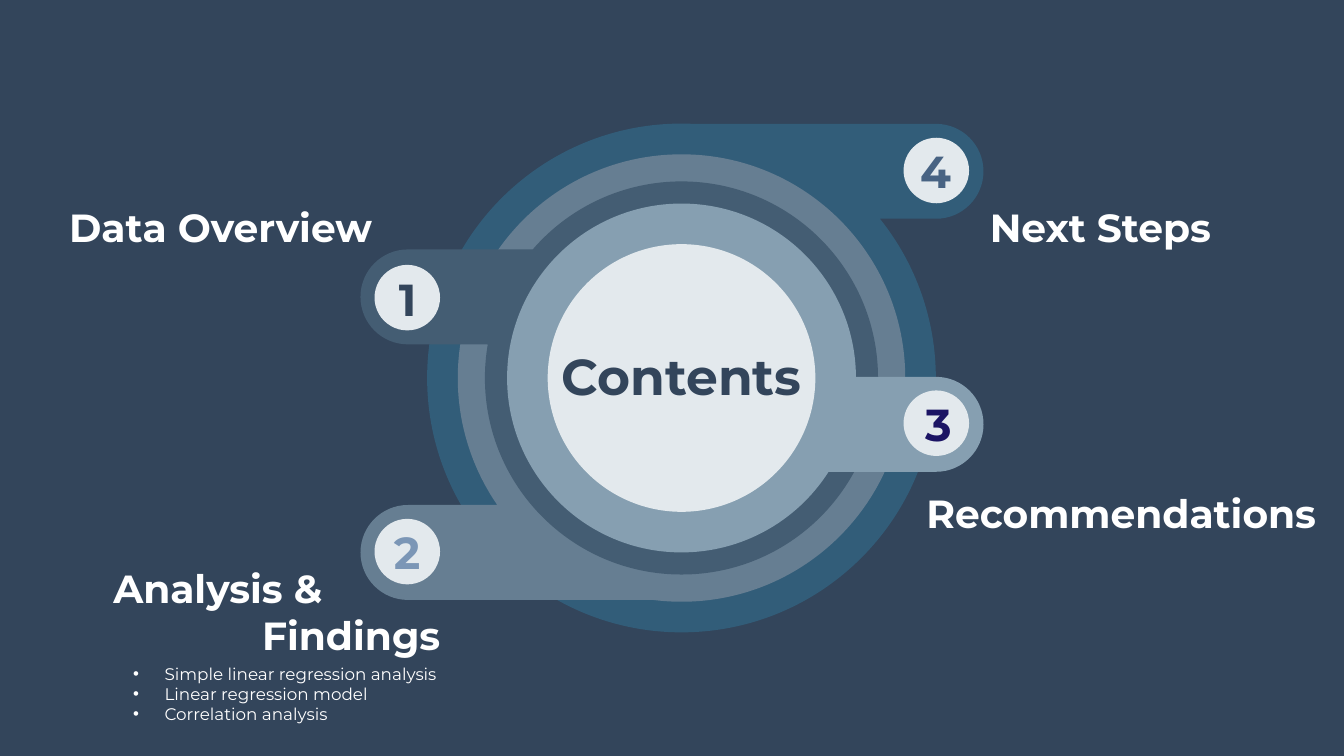
from dataclasses import dataclass
from math import asin, ceil, cos, floor, pi, sin, tan

from lxml.etree import SubElement
from pptx import Presentation
from pptx.dml.color import RGBColor
from pptx.enum.shapes import MSO_SHAPE
from pptx.enum.text import MSO_ANCHOR, MSO_AUTO_SIZE, PP_ALIGN
from pptx.oxml.ns import qn
from pptx.util import Pt


@dataclass(frozen=True)
class Theme:
    font: str = "Montserrat"
    navy: str = "33455B"
    pale: str = "E3E9ED"
    white: str = "FFFFFF"
    title: int = 36
    number: int = 32
    heading: int = 28
    body: int = 12


@dataclass(frozen=True)
class Ring:
    number: str
    radius: float
    side: int
    arm_y: float
    badge_y: float
    number_x: float
    fill: str
    ink: str


THEME = Theme()
HUB = (486.8, 270)
CAP_X = {-1: 291.4, 1: 668.6}
BADGE_X = {-1: 290.9, 1: 668.8}
CAP_RADIUS = 33.9
BADGE_RADIUS = 23.4
CORE_RADIUS = 95.6
RINGS = [
    Ring("4", 181.7, 1, 122.4, 121.8, 650.2, "325D79", "486383"),
    Ring("2", 159.8, -1, 394.6, 394, 274.3, "667E92", "7B96B6"),
    Ring("1", 140.4, -1, 212.1, 212.6, 277.9, "445D73", THEME.navy),
    Ring("3", 124.6, 1, 303.1, 302.3, 653.8, "869FB1", "1B1464"),
]
HEADINGS = [
    ((42.3, 141.8, 247.7, 41.2), [("Data Overview", PP_ALIGN.LEFT)]),
    ((73.9, 399.6, 247.7, 75.1),
     [("Analysis &", PP_ALIGN.LEFT), ("Findings", PP_ALIGN.RIGHT)]),
    ((654.6, 345.9, 303.8, 41.2), [("Recommendations", PP_ALIGN.LEFT)]),
    ((700, 141.8, 194.4, 41.2), [("Next Steps", PP_ALIGN.LEFT)]),
]
METHODS = ["Simple linear regression analysis", "Linear regression model",
           "Correlation analysis"]


def paint(sp, color):
    sp.shadow.inherit = False
    sp.fill.solid()
    sp.fill.fore_color.rgb = RGBColor.from_string(color)
    sp.line.fill.background()


def write(sp, lines, size, color, bold=True):
    tf = sp.text_frame
    for name, value in {"word_wrap": True, "auto_size": MSO_AUTO_SIZE.NONE,
                        "vertical_anchor": MSO_ANCHOR.TOP}.items():
        setattr(tf, name, value)
    for i, (text, align) in enumerate(lines):
        p = tf.paragraphs[0] if i == 0 else tf.add_paragraph()
        p.alignment = align
        r = p.add_run()
        r.text = text
        for name, value in {"name": THEME.font, "size": Pt(size),
                            "bold": bold}.items():
            setattr(r.font, name, value)
        r.font.color.rgb = RGBColor.from_string(color)


def add_text(s, box, lines, size, color, bold=True):
    sp = s.shapes.add_textbox(*map(Pt, box))
    write(sp, lines, size, color, bold)
    return sp


def add_preset(parent, preset, box, color):
    paint(parent.shapes.add_shape(preset, *map(Pt, box)), color)


def add_disc(parent, center, radius, color):
    x, y = center
    add_preset(parent, MSO_SHAPE.OVAL,
               (x - radius, y - radius, 2 * radius, 2 * radius), color)


def arc(center, radius, start, end, side):
    x, y = center
    quarter = pi / 2
    inner = [n * quarter for n in range(floor(start / quarter) + 1,
                                        ceil(end / quarter))]
    stops = [start, *inner, end]

    def point(a, pull=0):
        return (Pt(x + side * radius * (cos(a) - pull * sin(a))),
                Pt(y + radius * (sin(a) + pull * cos(a))))

    curves = []
    for a, b in zip(stops, stops[1:]):
        pull = 4 / 3 * tan((b - a) / 4)
        curves.append((point(a, pull), point(b, -pull), point(b)))
    return [(point(start),)] + curves


def add_outline(parent, steps, color):
    ends = [step[-1] for step in steps]
    builder = parent.shapes.build_freeform(*ends[0])
    builder.add_line_segments(ends[1:], close=True)
    sp = builder.convert_to_shape()
    lines = list(sp.element.iter(qn("a:lnTo")))
    for line, step in zip(lines, steps[1:]):
        if len(step) == 3:
            line.tag = qn("a:cubicBezTo")
            line.clear()
            for x, y in step:
                SubElement(line, qn("a:pt"), x=str(x - sp.left),
                           y=str(y - sp.top))
    paint(sp, color)


def angle_at(y, radius):
    return asin(max(-1, min(1, y / radius)))


def add_ring(parent, ring):
    offset = ring.arm_y - HUB[1]
    top = angle_at(offset - CAP_RADIUS, ring.radius)
    bottom = angle_at(offset + CAP_RADIUS, ring.radius)
    cap = (CAP_X[ring.side], ring.arm_y)
    steps = (arc(HUB, ring.radius, bottom, top + 2 * pi, ring.side)
             + arc(cap, CAP_RADIUS, -pi / 2, pi / 2, ring.side))
    add_outline(parent, steps, ring.fill)
    add_disc(parent, (BADGE_X[ring.side], ring.badge_y), BADGE_RADIUS,
             THEME.pale)


def add_emblem(s):
    emblem = s.shapes.add_group_shape()
    for ring in RINGS:
        add_ring(emblem, ring)
    add_disc(emblem, HUB, CORE_RADIUS, THEME.pale)


def add_number(s, ring):
    add_text(s, (ring.number_x, ring.badge_y - 22.4, 72, 46),
             [(ring.number, PP_ALIGN.LEFT)], THEME.number, ring.ink)


def add_title(s, box):
    sp = s.shapes.title
    for name, value in zip(("left", "top", "width", "height"), box):
        setattr(sp, name, Pt(value))
    write(sp, [("Contents", PP_ALIGN.LEFT)], THEME.title, THEME.navy)
    s.shapes.element.append(sp.element)


def add_methods(s, box):
    sp = add_text(s, box, [(m, PP_ALIGN.LEFT) for m in METHODS],
                  THEME.body, THEME.white, False)
    for p in sp.text_frame.paragraphs:
        pPr = p._p.get_or_add_pPr()
        pPr.set("marL", str(Pt(22.5)))
        pPr.set("indent", str(Pt(-22.5)))
        SubElement(pPr, qn("a:buFont"), typeface="Arial")
        SubElement(pPr, qn("a:buChar"), char="•")


def contents_slide(prs):
    s = prs.slides.add_slide(prs.slide_layouts[5])
    add_preset(s, MSO_SHAPE.RECTANGLE, (0, 0, 960, 540), THEME.navy)
    add_emblem(s)
    add_title(s, (393.8, 242.6, 257.8, 51))
    for ring in RINGS:
        add_number(s, ring)
    for box, lines in HEADINGS:
        add_text(s, box, lines, THEME.heading, THEME.white)
    add_methods(s, (88, 470.2, 479.5, 51))


def main():
    prs = Presentation()
    prs.slide_width, prs.slide_height = Pt(960), Pt(540)
    contents_slide(prs)
    prs.save("out.pptx")


if __name__ == "__main__":
    main()
